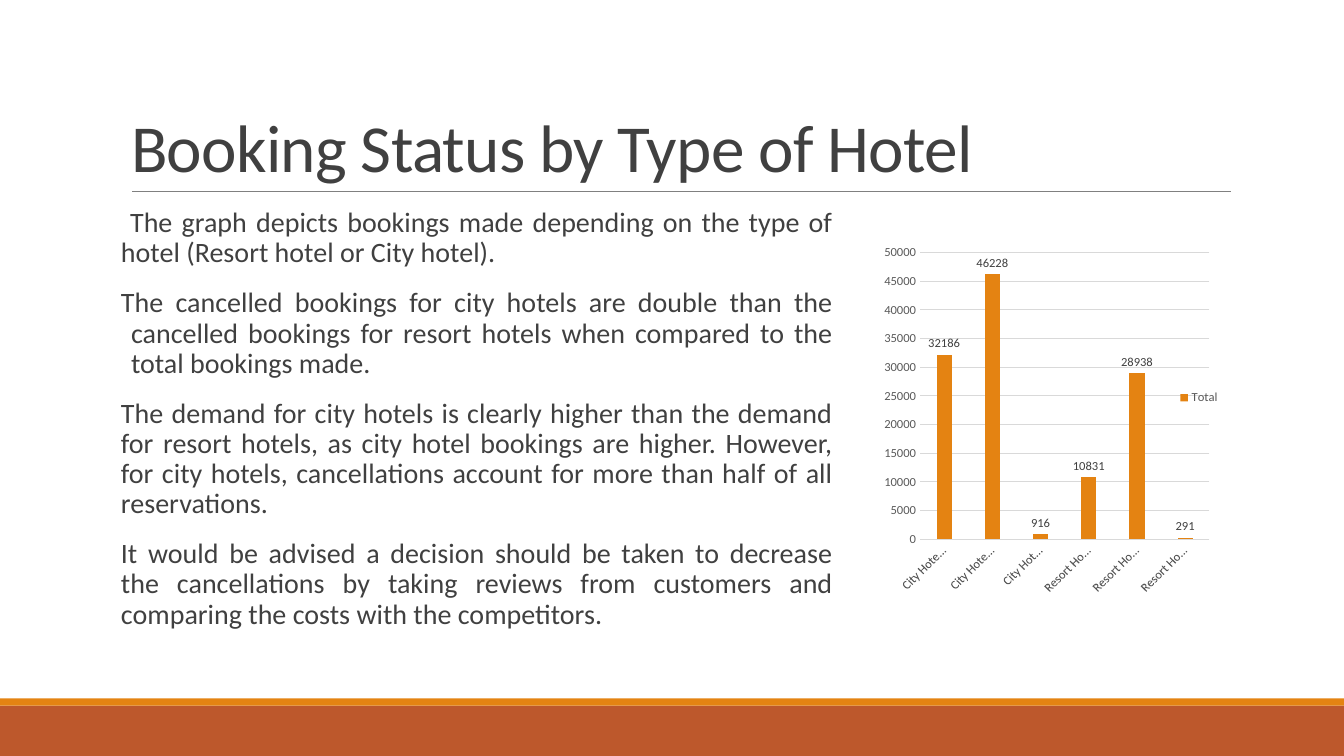
"""Build the slide on booking status by type of hotel."""
from itertools import product
from lxml.etree import SubElement
from pptx import Presentation
from pptx.chart.data import CategoryChartData
from pptx.dml.color import RGBColor
from pptx.enum.chart import XL_CHART_TYPE, XL_LABEL_POSITION, XL_LEGEND_POSITION, XL_TICK_MARK
from pptx.enum.shapes import MSO_CONNECTOR, MSO_SHAPE
from pptx.enum.text import MSO_ANCHOR, MSO_AUTO_SIZE, PP_ALIGN
from pptx.oxml import parse_xml
from pptx.oxml.ns import nsdecls, qn
from pptx.util import Inches, Pt

TITLE = "Booking Status by Type of Hotel"
BODY = [
    (" The graph depicts bookings made depending on the type of hotel (Resort hotel or City hotel).", 0),
    ("The cancelled bookings for city hotels are double than the cancelled bookings for resort hotels "
     "when compared to the total bookings made.", 0.1),
    ("The demand for city hotels is clearly higher than the demand for resort hotels, as city hotel "
     "bookings are higher. However, for city hotels, cancellations account for more than half of all "
     "reservations.", 0),
    ("It would be advised a decision should be taken to decrease the cancellations by taking reviews "
     "from customers and comparing the costs with the competitors.", 0),
]
HOTELS = ["City Hotel", "Resort Hotel"]
STATES = ["Canceled", "Check-Out", "No-Show"]
TOTALS = [32186, 46228, 916, 10831, 28938, 291]

FONT = "Calibri"
COLORS = {"rust": "BD582C", "orange": "E48312", "rule": "808080",
          "text": "404040", "axis": "595959", "grid": "D9D9D9"}
WIDE, HIGH = 13.33, 7.5
LEFT = 1.2
BOXES = {"title": (LEFT, 0.31, 11, 1.59), "body": (LEFT, 2.02, 7.06, 4.4),
         "chart": (8.77, 2.1, 3.43, 3.8)}
BANDS = [("rust", 7, 0.5), ("orange", 6.93, 0.07)]
PLOT = {"x": 0.1, "y": 0.11, "w": 0.84, "h": 0.77}


def color(name):
    return RGBColor.from_string(COLORS[name])


def style(font, size, name):
    font.name, font.size = FONT, Pt(size)
    font.color.rgb = color(name)


def place(shape, box):
    shape.left, shape.top, shape.width, shape.height = map(Inches, box)


def draw_base(shapes):
    for name, top, high in BANDS:
        band = shapes.add_shape(MSO_SHAPE.RECTANGLE, 0, Inches(top), Inches(WIDE), Inches(high))
        band.shadow.inherit = False
        band.fill.solid()
        band.fill.fore_color.rgb = color(name)
        band.line.fill.background()
    ends = map(Inches, (1.31, 1.9, 12.21, 1.9))
    rule = shapes.add_connector(MSO_CONNECTOR.STRAIGHT, *ends)
    rule.line.color.rgb, rule.line.width = color("rule"), Pt(0.5)
    SubElement(rule.element.spPr, qn("a:effectLst"))


def write_title(title):
    place(title, BOXES["title"])
    frame = title.text_frame
    frame.text = TITLE
    frame.auto_size = MSO_AUTO_SIZE.NONE
    frame.vertical_anchor = MSO_ANCHOR.BOTTOM
    para = frame.paragraphs[0]
    para.alignment, para.line_spacing = PP_ALIGN.LEFT, 0.85
    style(para.font, 48, "text")
    para.runs[0].font._element.set("spc", "-50")


def write_body(shapes):
    frame = shapes.add_textbox(*map(Inches, BOXES["body"])).text_frame
    frame.word_wrap = True
    frame.margin_left = frame.margin_right = 0
    for i, (text, hang) in enumerate(BODY):
        para = frame.add_paragraph() if i else frame.paragraphs[0]
        para.text = text
        para.alignment, para.line_spacing = PP_ALIGN.JUSTIFY, 0.9
        para.space_before, para.space_after = Pt(12), Pt(2)
        style(para.font, 20, "text")
        if hang:
            props = para._p.get_or_add_pPr()
            props.set("marL", str(Inches(hang)))
            props.set("indent", str(-Inches(hang)))


def draw_chart(shapes):
    data = CategoryChartData()
    data.categories = [f"{hotel} {state}" for hotel, state in product(HOTELS, STATES)]
    data.add_series("Total", TOTALS)
    kind = XL_CHART_TYPE.COLUMN_CLUSTERED
    chart = shapes.add_chart(kind, *map(Inches, BOXES["chart"]), data).chart
    chart.has_title = False
    chart.font.name, chart.font.size = FONT, Pt(10)
    chart.has_legend = True
    chart.legend.position = XL_LEGEND_POSITION.RIGHT
    chart.legend.include_in_layout = False
    style(chart.legend.font, 9, "axis")

    plot = chart.plots[0]
    plot.gap_width, plot.overlap, plot.vary_by_categories = 219, -27, False
    bars = plot.series[0]
    bars.format.fill.solid()
    bars.format.fill.fore_color.rgb = color("orange")
    labels = bars.data_labels
    labels.show_value = True
    labels.position = XL_LABEL_POSITION.OUTSIDE_END
    style(labels.font, 9, "text")

    cats, vals = chart.category_axis, chart.value_axis
    for axis in (cats, vals):
        axis.major_tick_mark = axis.minor_tick_mark = XL_TICK_MARK.NONE
        style(axis.tick_labels.font, 9, "axis")
    vals.format.line.fill.background()
    vals.minimum_scale, vals.maximum_scale, vals.major_unit = 0, 50000, 5000
    for line in (cats.format.line, vals.major_gridlines.format.line):
        line.color.rgb, line.width = color("grid"), Pt(0.75)
    cats._element.find(qn("c:txPr")).find(qn("a:bodyPr")).set("rot", "-2700000")

    area = plot._element.getparent()
    for old in area.findall(qn("c:layout")):
        area.remove(old)
    modes = "".join(f'<c:{k}Mode val="edge"/>' for k in "xy")
    sizes = "".join(f'<c:{k} val="{v}"/>' for k, v in PLOT.items())
    area.insert(0, parse_xml(
        f'<c:layout {nsdecls("c")}><c:manualLayout><c:layoutTarget val="inner"/>'
        f'{modes}{sizes}</c:manualLayout></c:layout>'))


def main():
    deck = Presentation()
    deck.slide_width, deck.slide_height = Inches(WIDE), Inches(HIGH)
    shapes = deck.slides.add_slide(deck.slide_layouts[5]).shapes
    draw_base(shapes)
    write_title(shapes.title)
    write_body(shapes)
    draw_chart(shapes)
    deck.save("out.pptx")


if __name__ == "__main__":
    main()
